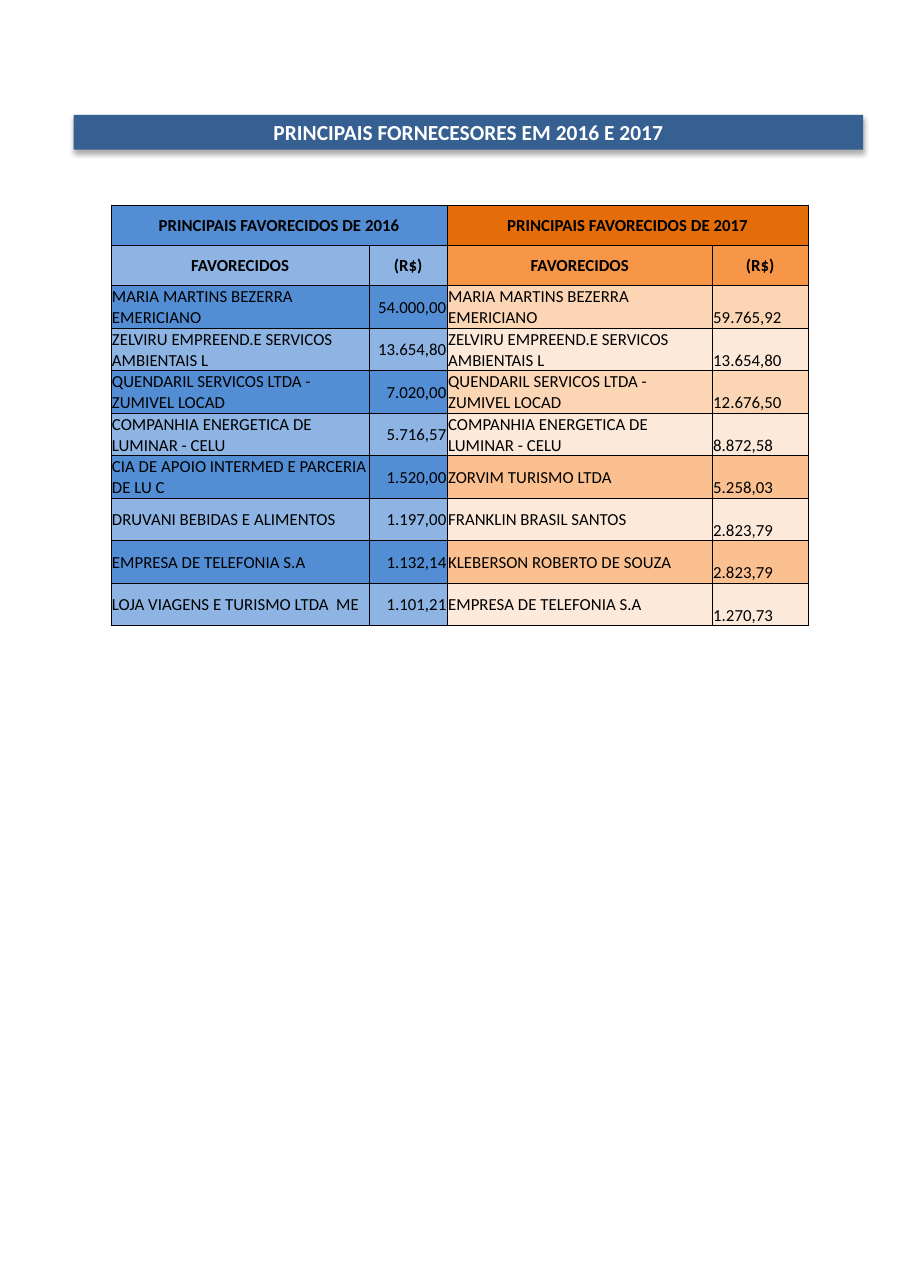
from dataclasses import dataclass

from lxml import etree
from pptx import Presentation
from pptx.dml.color import RGBColor
from pptx.enum.shapes import MSO_SHAPE
from pptx.enum.text import MSO_ANCHOR, PP_ALIGN
from pptx.oxml import parse_xml
from pptx.oxml.ns import nsdecls, qn
from pptx.util import Cm, Pt

RECT = MSO_SHAPE.RECTANGLE
MIDDLE, BOTTOM = MSO_ANCHOR.MIDDLE, MSO_ANCHOR.BOTTOM
LEFT, CENTER, RIGHT = PP_ALIGN.LEFT, PP_ALIGN.CENTER, PP_ALIGN.RIGHT


@dataclass(frozen=True)
class Theme:
    font: str = "Calibri"
    title_size: int = 14
    table_size: int = 11
    white: str = "FFFFFF"
    black: str = "000000"
    banner: str = "376092"
    blue: str = "538ED5"
    light_blue: str = "8DB4E3"
    dark_orange: str = "E46D0A"
    orange: str = "F79646"
    mid_orange: str = "FAC090"
    light_orange: str = "FCD5B4"
    pale_orange: str = "FDE9D9"
    border_width: float = 0.5


THEME = Theme()

TITLE = "PRINCIPAIS FORNECESORES EM 2016 E 2017"
YEARS = ("PRINCIPAIS FAVORECIDOS DE 2016", "PRINCIPAIS FAVORECIDOS DE 2017")
HEADINGS = ("FAVORECIDOS", "(R$)") * 2
PAYEES = [
    ("MARIA MARTINS BEZERRA EMERICIANO", "54.000,00",
     "MARIA MARTINS BEZERRA EMERICIANO", "59.765,92"),
    ("ZELVIRU EMPREEND.E SERVICOS AMBIENTAIS L", "13.654,80",
     "ZELVIRU EMPREEND.E SERVICOS AMBIENTAIS L", "13.654,80"),
    ("QUENDARIL SERVICOS LTDA - ZUMIVEL LOCAD", "7.020,00",
     "QUENDARIL SERVICOS LTDA - ZUMIVEL LOCAD", "12.676,50"),
    ("COMPANHIA ENERGETICA DE LUMINAR - CELU", "5.716,57",
     "COMPANHIA ENERGETICA DE LUMINAR - CELU", "8.872,58"),
    ("CIA DE APOIO INTERMED E PARCERIA DE LU C", "1.520,00",
     "ZORVIM TURISMO LTDA", "5.258,03"),
    ("DRUVANI BEBIDAS E ALIMENTOS", "1.197,00",
     "FRANKLIN BRASIL SANTOS", "2.823,79"),
    ("EMPRESA DE TELEFONIA S.A", "1.132,14",
     "KLEBERSON ROBERTO DE SOUZA", "2.823,79"),
    ("LOJA VIAGENS E TURISMO LTDA  ME", "1.101,21",
     "EMPRESA DE TELEFONIA S.A", "1.270,73"),
]
COLUMN_WIDTHS = (5.95, 1.8, 6.11, 2.21)
HEADER_HEIGHT, BODY_HEIGHT = 0.93, 0.98


def write(tf, text, size, color, align, bold=False):
    p = tf.paragraphs[0]
    p.text = text
    p.alignment = align
    font = p.runs[0].font
    font.name, font.size, font.bold = THEME.font, Pt(size), bold
    font.color.rgb = RGBColor.from_string(color)


def add_shadow(sp):
    """Put a soft shadow straight below the shape."""
    sp.shadow.inherit = False
    effects = sp._element.spPr.find(qn("a:effectLst"))
    effects.append(parse_xml(
        f'<a:outerShdw {nsdecls("a")} blurRad="{Pt(3.5)}" dist="{Pt(2.2)}" '
        'dir="5400000" algn="ctr" rotWithShape="0">'
        f'<a:srgbClr val="{THEME.black}"><a:alpha val="32000"/></a:srgbClr>'
        '</a:outerShdw>'))


def add_borders(cell):
    tc_pr = cell._tc.get_or_add_tcPr()
    for side in ("lnL", "lnR", "lnT", "lnB"):
        ln = etree.SubElement(tc_pr, qn(f"a:{side}"), w=str(Pt(THEME.border_width)))
        fill = etree.SubElement(ln, qn("a:solidFill"))
        etree.SubElement(fill, qn("a:srgbClr"), val=THEME.black)


def style_cell(cell, fill):
    add_borders(cell)
    cell.fill.solid()
    cell.fill.fore_color.rgb = RGBColor.from_string(fill)
    cell.margin_left = cell.margin_right = cell.margin_top = Cm(0.02)
    cell.margin_bottom = 0
    cell.vertical_anchor = MIDDLE


def row_fills(i):
    """Blue and orange bands for payee row i; the orange deepens halfway."""
    if i % 2:
        return THEME.light_blue, THEME.pale_orange
    half = len(PAYEES) // 2
    return THEME.blue, THEME.light_orange if i < half else THEME.mid_orange


def add_banner(s, left, top, width, height):
    sp = s.shapes.add_shape(RECT, left, top, width, height)
    sp.fill.solid()
    sp.fill.fore_color.rgb = RGBColor.from_string(THEME.banner)
    sp.line.fill.background()
    add_shadow(sp)
    sp.text_frame.vertical_anchor = MIDDLE
    write(sp.text_frame, TITLE, THEME.title_size, THEME.white, CENTER, bold=True)


def add_payee_table(s, left, top):
    heights = [HEADER_HEIGHT] * 2 + [BODY_HEIGHT] * len(PAYEES)
    table = s.shapes.add_table(len(heights), len(COLUMN_WIDTHS), left, top,
                               Cm(sum(COLUMN_WIDTHS)), Cm(sum(heights))).table
    table.first_row = table.horz_banding = False
    for column, width in zip(table.columns, COLUMN_WIDTHS):
        column.width = Cm(width)
    for row, height in zip(table.rows, heights):
        row.height = Cm(height)

    fills = [(THEME.blue, THEME.dark_orange), (THEME.light_blue, THEME.orange)]
    fills += [row_fills(i) for i in range(len(PAYEES))]
    for row, pair in zip(table.rows, fills):
        for c, cell in enumerate(row.cells):
            style_cell(cell, pair[c // 2])

    for c, year in zip((0, 2), YEARS):
        table.cell(0, c).merge(table.cell(0, c + 1))
        write(table.cell(0, c).text_frame, year, THEME.table_size,
              THEME.black, CENTER, bold=True)
    for c, heading in enumerate(HEADINGS):
        write(table.cell(1, c).text_frame, heading, THEME.table_size,
              THEME.black, CENTER, bold=True)
    for r, payee in enumerate(PAYEES, 2):
        for c, text in enumerate(payee):
            write(table.cell(r, c).text_frame, text, THEME.table_size,
                  THEME.black, RIGHT if c == 1 else LEFT)
        table.cell(r, 3).vertical_anchor = BOTTOM


def main():
    prs = Presentation()
    prs.slide_width, prs.slide_height = Cm(21), Cm(29.7)
    s = prs.slides.add_slide(prs.slide_layouts[6])
    add_banner(s, Cm(1.7), Cm(2.65), Cm(18.2), Cm(0.8))
    add_payee_table(s, Cm(2.56), Cm(4.73))
    prs.save("out.pptx")


if __name__ == "__main__":
    main()
